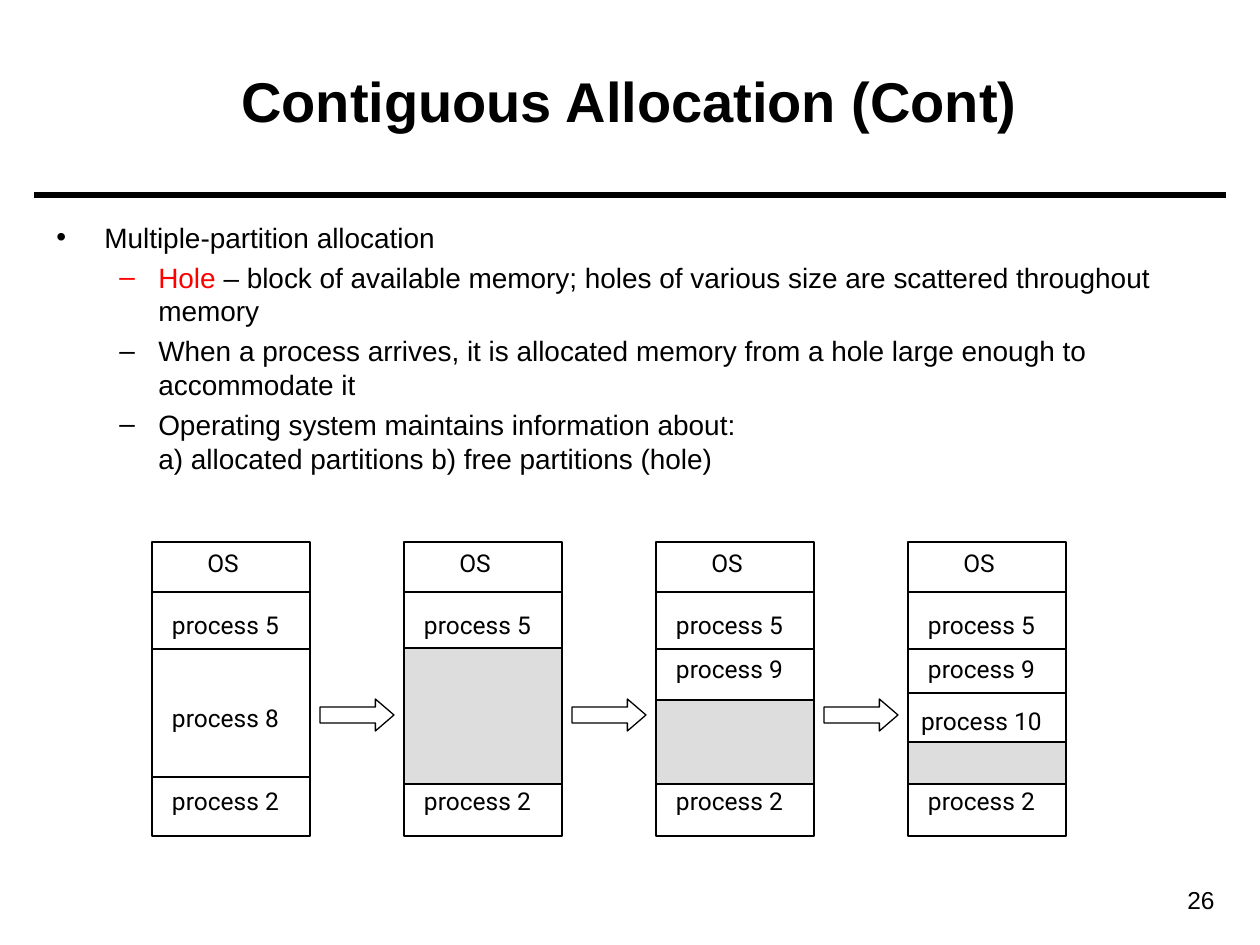
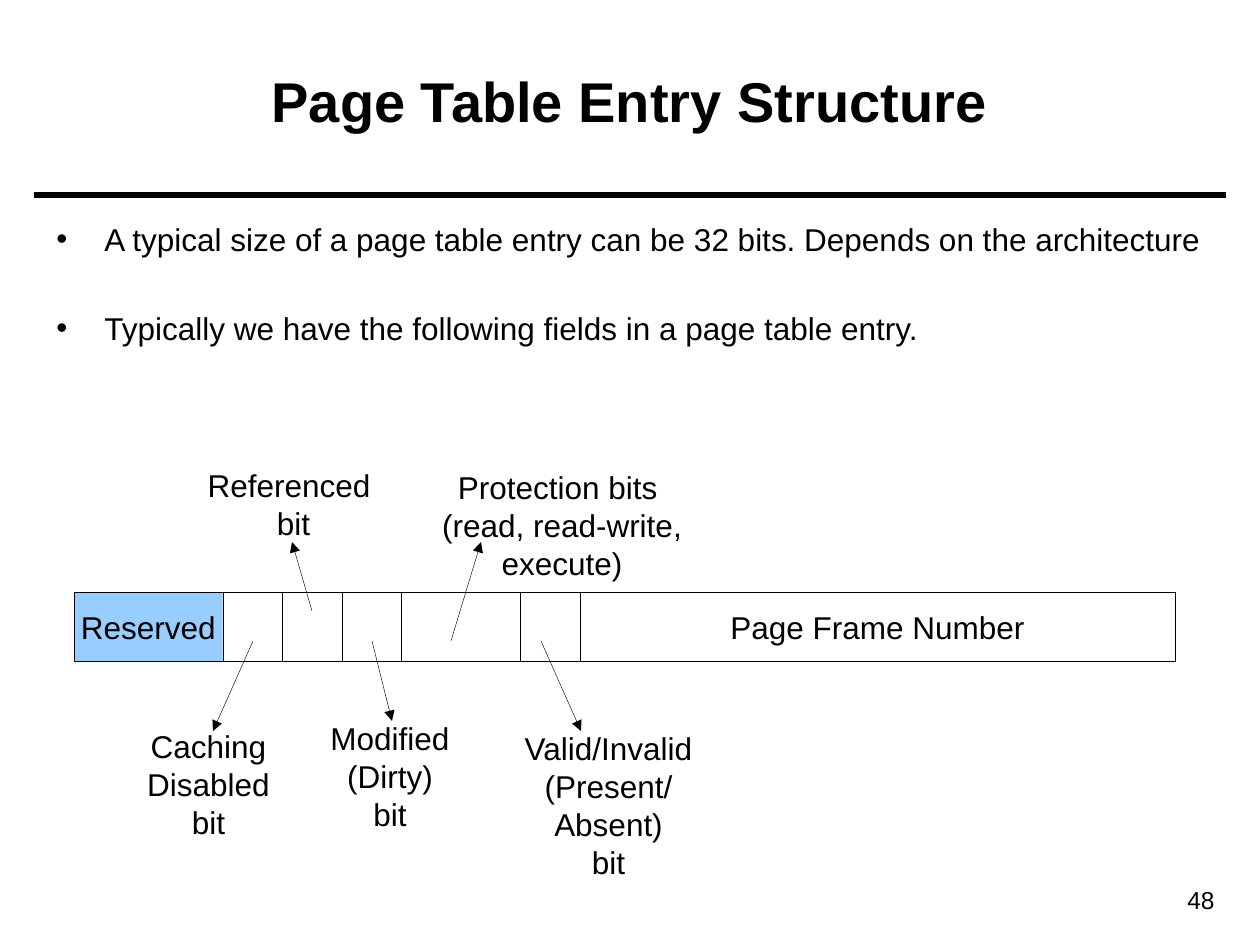
from lxml.etree import SubElement
from pptx import Presentation
from pptx.dml.color import RGBColor
from pptx.enum.shapes import MSO_CONNECTOR, MSO_SHAPE
from pptx.enum.text import MSO_ANCHOR, PP_ALIGN
from pptx.oxml.ns import qn
from pptx.util import Pt

PX = 914400 / 126  # EMU in one px

BLACK = RGBColor(0x00, 0x00, 0x00)
WHITE = RGBColor(0xFF, 0xFF, 0xFF)
RED = RGBColor(0xFF, 0x00, 0x00)
HOLE_GREY = RGBColor(0xDD, 0xDD, 0xDD)
RESERVED_BLUE = RGBColor(0x99, 0xCC, 0xFF)

TITLE_FONT = {"name": "Arial", "size": Pt(32), "bold": True}
NUMBER_FONT = {"name": "Arial", "size": Pt(14)}
BODY_FONT = {"name": "Arial", "size": Pt(16)}
LARGE_FONT = {"name": "Arial", "size": Pt(18)}
MEMORY_FONT = {"name": "Roboto", "size": Pt(14)}

# Bullet, left margin and hanging indent of each level
LEVELS = [("•", 48, -48), ("–", 102, -39)]


def emu(*lengths):
    return [round(n * PX) for n in lengths]


def style(font, fmt, color=BLACK):
    for key, value in fmt.items():
        setattr(font, key, value)
    font.color.rgb = color


def write(tf, lines, fmt, align=PP_ALIGN.CENTER, anchor=MSO_ANCHOR.TOP, wrap=True):
    tf.word_wrap = wrap
    tf.vertical_anchor = anchor
    for i, line in enumerate(lines):
        p = tf.add_paragraph() if i else tf.paragraphs[0]
        p.alignment = align
        r = p.add_run()
        r.text = line
        style(r.font, fmt)


def add_label(s, box, lines, fmt, **layout):
    write(s.shapes.add_textbox(*emu(*box)).text_frame, lines, fmt, **layout)


def add_box(s, kind, box, fill=None, width=0.75):
    sp = s.shapes.add_shape(kind, *emu(*box))
    sp.shadow.inherit = False
    if fill is None:
        sp.fill.background()
    else:
        sp.fill.solid()
        sp.fill.fore_color.rgb = fill
    sp.line.color.rgb = BLACK
    sp.line.width = Pt(width)
    return sp


def add_line(s, start, end, width=0.75, arrow=False):
    c = s.shapes.add_connector(MSO_CONNECTOR.STRAIGHT, *emu(*start, *end))
    c.line.color.rgb = BLACK
    c.line.width = Pt(width)
    if arrow:
        SubElement(c.line._get_or_add_ln(), qn("a:tailEnd"), type="triangle")
    SubElement(c._element.spPr, qn("a:effectLst"))


def new_slide(prs, title, number):
    """Slide with the shared title, rule and page number."""
    s = prs.slides.add_slide(prs.slide_layouts[5])
    sp = s.shapes.title
    sp.left, sp.top, sp.width, sp.height = emu(44, 21, 1171, 158)
    write(sp.text_frame, [title], TITLE_FONT, anchor=MSO_ANCHOR.MIDDLE)
    add_line(s, (34, 195), (1226, 195), width=3)
    add_label(s, (1096, 879, 131, 43), [number], NUMBER_FONT, align=PP_ALIGN.RIGHT)
    return s


def add_bullets(s, box, items, fmt, gap):
    """Each item is a level and a list of (text, colour) runs."""
    tf = s.shapes.add_textbox(*emu(*box)).text_frame
    tf.word_wrap = True
    for i, (level, runs) in enumerate(items):
        p = tf.add_paragraph() if i else tf.paragraphs[0]
        if i:
            p.space_before = Pt(gap)
        char, margin, indent = LEVELS[level]
        p.level = level
        pPr = p._p.get_or_add_pPr()
        pPr.set("marL", str(emu(margin)[0]))
        pPr.set("indent", str(emu(indent)[0]))
        SubElement(pPr, qn("a:buFont"), typeface="Arial")
        SubElement(pPr, qn("a:buChar"), char=char)
        for text, color in runs:
            for n, part in enumerate(text.split("\n")):
                if n:
                    p.add_line_break()
                r = p.add_run()
                r.text = part
                style(r.font, fmt, color)


def memory_column(s, box, dividers, hole, processes):
    """Memory map; offsets are measured from the top of the box."""
    x, y, w, h = box
    add_box(s, MSO_SHAPE.RECTANGLE, box, WHITE)
    for dy in dividers:
        add_line(s, (x, y + dy), (x + w, y + dy))
    if hole:
        top, height = hole
        add_box(s, MSO_SHAPE.RECTANGLE, (x, y + top, w, height), HOLE_GREY)
    middle = {"anchor": MSO_ANCHOR.MIDDLE}
    add_label(s, (x + 41, y, 60, 42), ["OS"], MEMORY_FONT, wrap=False, **middle)
    for number, dy in processes:
        add_label(s, (x, y + dy, 147, 42), [f"process {number}"], MEMORY_FONT, **middle)


def memory_steps(s, box):
    x, y, pitch, h = box
    column_w = 158
    common = [50, 107, 235]
    steps = [
        (common, None, [(5, 62), (8, 155), (2, 238)]),
        (common, (106, 136), [(5, 62), (2, 238)]),
        (common, (158, 84), [(5, 62), (9, 106), (2, 238)]),
        (common + [151], (200, 42), [(5, 62), (9, 106), (10, 158), (2, 238)]),
    ]
    for i, step in enumerate(steps):
        left = x + i * pitch
        memory_column(s, (left, y, column_w, h), *step)
        if i < len(steps) - 1:
            sp = add_box(s, MSO_SHAPE.RIGHT_ARROW, (left + 168, y + 157, 74, 32), WHITE)
            sp.adjustments[1] = 0.58


def entry_fields(s, box):
    """Bar of fields, whose widths are shares of the whole bar."""
    x, y, w, h = box
    fields = [("Reserved", 2.5), ("", 1), ("", 1), ("", 1), ("", 2), ("", 1),
              ("Page Frame Number", 10)]
    unit = w / sum(share for _, share in fields)
    for name, share in fields:
        fill = RESERVED_BLUE if name == "Reserved" else None
        sp = add_box(s, MSO_SHAPE.RECTANGLE, (x, y, share * unit, h), fill, 0.25)
        if name:
            write(sp.text_frame, [name], LARGE_FONT, anchor=MSO_ANCHOR.MIDDLE, wrap=False)
        x += share * unit


def field_callouts(s, origin):
    """Label box, arrow start and arrow end, measured from the bar's corner."""
    x, y = origin
    callouts = [
        (["Caching ", "Disabled", "bit"], (60, 129, 149, 126), (179, 49), (139, 139)),
        (["Referenced ", "bit"], (121, -132, 197, 88), (238, 19), (218, -50)),
        (["Modified", "(Dirty)", "bit"], (244, 121, 144, 126), (298, 49), (318, 129)),
        (["Protection bits ", "(read, read-write, execute)"],
         (291, -130, 394, 88), (377, 49), (407, -50)),
        (["Valid/Invalid", "(Present/Absent)", "bit"],
         (404, 131, 261, 126), (467, 49), (507, 139)),
    ]
    for lines, (left, top, w, h), (x1, y1), (x2, y2) in callouts:
        add_line(s, (x + x1, y + y1), (x + x2, y + y2), width=0.25, arrow=True)
        add_label(s, (x + left, y + top, w, h), lines, LARGE_FONT, wrap=False)


def allocation_slide(prs):
    s = new_slide(prs, "Contiguous Allocation (Cont)", "26")
    add_bullets(s, (44, 214, 1171, 338), [
        (0, [("Multiple-partition allocation", BLACK)]),
        (1, [("Hole", RED), (" – block of available memory; holes of various size "
                             "are scattered throughout memory", BLACK)]),
        (1, [("When a process arrives, it is allocated memory from a hole large "
              "enough to accommodate it", BLACK)]),
        (1, [("Operating system maintains information about:\n"
              "a) allocated partitions b) free partitions (hole)", BLACK)]),
    ], BODY_FONT, gap=3.7)
    memory_steps(s, (152, 542, 252, 294))


def page_entry_slide(prs):
    s = new_slide(prs, "Page Table Entry Structure", "48")
    add_bullets(s, (44, 214, 1171, 645), [
        (0, [("A typical size of a page table entry can be 32 bits. "
              "Depends on the architecture", BLACK)]),
        (0, [("Typically we have the following fields in a page table entry.", BLACK)]),
    ], LARGE_FONT, gap=29)
    entry_fields(s, (74, 592, 1101, 69))
    field_callouts(s, (74, 592))


def main():
    prs = Presentation()
    prs.slide_width, prs.slide_height = emu(1260, 945)
    allocation_slide(prs)
    page_entry_slide(prs)
    prs.save("out.pptx")


if __name__ == "__main__":
    main()
